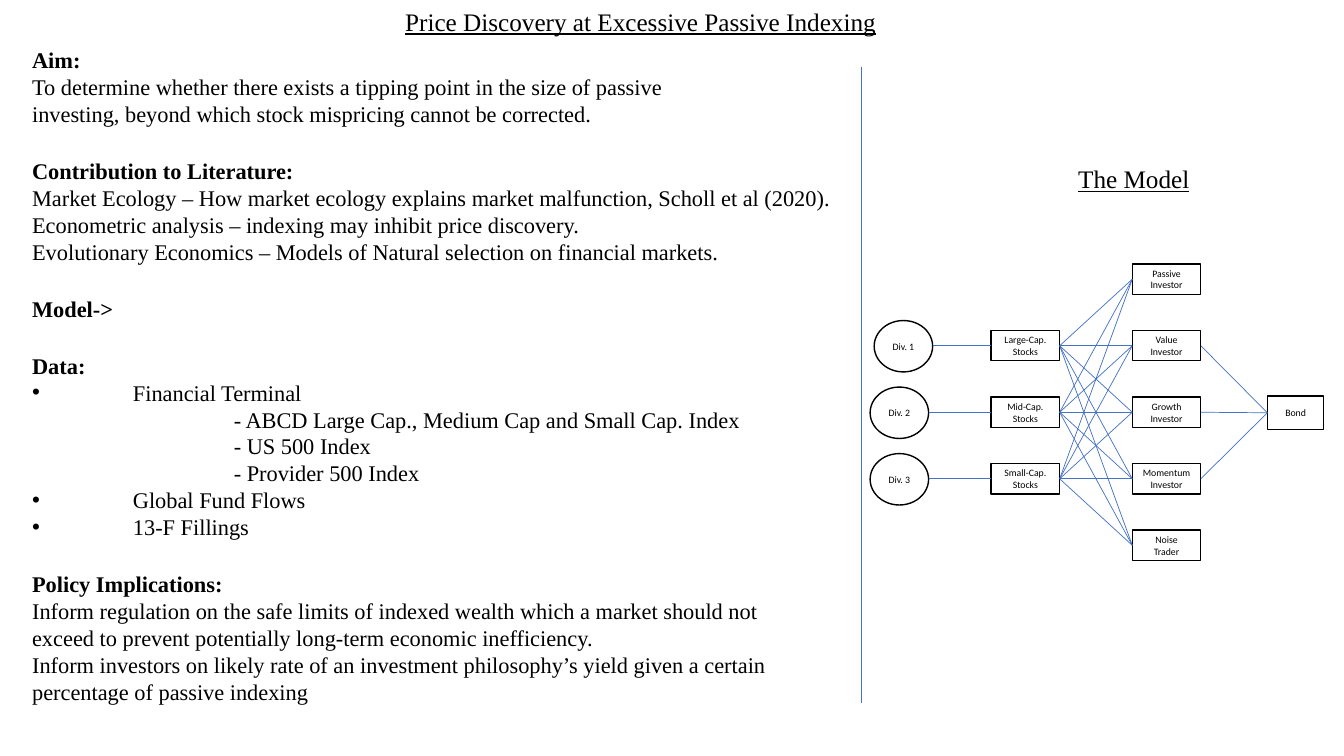
from itertools import product

from lxml import etree
from pptx import Presentation
from pptx.dml.color import RGBColor
from pptx.enum.shapes import MSO_CONNECTOR, MSO_SHAPE
from pptx.enum.text import MSO_ANCHOR, MSO_AUTO_SIZE, PP_ALIGN
from pptx.oxml.ns import qn
from pptx.util import Inches, Pt

BLACK, BLUE = "000000", "4472C4"
SERIF, SANS = "Times New Roman", "Calibri"
RIGHT_SIDE, LEFT_SIDE = 3, 1
ROW_PITCH = 0.66
SECTION_GAP = 21.6

# Each line is a (style, text) pair.
SUMMARY = [
    ("heading", "Aim:"),
    ("body", "To determine whether there exists a tipping point in the size of passive"),
    ("body", "investing, beyond which stock mispricing cannot be corrected."),
    ("heading", "Contribution to Literature:"),
    ("body", "Market Ecology – How market ecology explains market malfunction, Scholl et al (2020)."),
    ("body", "Econometric analysis – indexing may inhibit price discovery."),
    ("body", "Evolutionary Economics – Models of Natural selection on financial markets."),
    ("heading", "Model->"),
    ("heading", "Data:"),
    ("bullet", "Financial Terminal"),
    ("detail", "- ABCD Large Cap., Medium Cap and Small Cap. Index"),
    ("detail", "- US 500 Index"),
    ("detail", "- Provider 500 Index"),
    ("bullet", "Global Fund Flows"),
    ("bullet", "13-F Fillings"),
    ("heading", "Policy Implications:"),
    ("body", "Inform regulation on the safe limits of indexed wealth which a market should not"),
    ("body", "exceed to prevent potentially long-term economic inefficiency."),
    ("body", "Inform investors on likely rate of an investment philosophy’s yield given a certain "
             "percentage of passive indexing"),
]
# Left margin and first-line indent of the indented styles, in inches.
INDENTS = {"bullet": (1, -1), "detail": (2, 0)}

INVESTORS = ["Passive Investor", "Value Investor", "Growth Investor",
             "Momentum Investor", "Noise Trader"]
STOCKS = ["Large-Cap. Stocks", "Mid-Cap. Stocks", "Small-Cap. Stocks"]
DIVIDEND_LEFTS = [0.04, 0, 0]


def color(hex_string):
    return RGBColor.from_string(hex_string)


def write(paragraph, text, **formats):
    """Add a run to the paragraph and set its font from the format values."""
    run = paragraph.add_run()
    run.text = text
    run.font.color.rgb = color(BLACK)
    for name, value in formats.items():
        setattr(run.font, name, value)


def add_text_box(slide, box, wrap=True):
    text_frame = slide.shapes.add_textbox(*map(Inches, box)).text_frame
    text_frame.word_wrap = wrap
    text_frame.auto_size = MSO_AUTO_SIZE.SHAPE_TO_FIT_TEXT
    return text_frame


def add_heading(slide, box, text, alignment, wrap=True):
    paragraph = add_text_box(slide, box, wrap).paragraphs[0]
    paragraph.alignment = alignment
    write(paragraph, text, name=SERIF, size=Pt(18), underline=True)


def add_node(slide, kind, box, text):
    """Add an outlined shape with a small centred label."""
    shape = slide.shapes.add_shape(kind, *map(Inches, box))
    shape.shadow.inherit = False
    shape.fill.background()
    shape.line.color.rgb = color(BLACK)
    shape.line.width = Pt(1)
    text_frame = shape.text_frame
    text_frame.word_wrap = True
    text_frame.vertical_anchor = MSO_ANCHOR.MIDDLE
    paragraph = text_frame.paragraphs[0]
    paragraph.alignment = PP_ALIGN.CENTER
    write(paragraph, text, name=SANS, size=Pt(7))
    return shape


def add_line(slide, start, end):
    """Add a thin blue line between two points given in inches."""
    line = slide.shapes.add_connector(
        MSO_CONNECTOR.STRAIGHT, *map(Inches, (*start, *end)))
    line.line.color.rgb = color(BLUE)
    line.line.width = Pt(0.5)
    etree.SubElement(line._element.spPr, qn("a:effectLst"))
    return line


def link(slide, source, target):
    """Join the right side of one rectangle to the left side of another."""
    line = add_line(slide, (0, 0), (0, 0))
    line.begin_connect(source, RIGHT_SIDE)
    line.end_connect(target, LEFT_SIDE)


def add_summary(slide, box):
    text_frame = add_text_box(slide, box)
    for index, (style, text) in enumerate(SUMMARY):
        paragraph = text_frame.add_paragraph() if index else text_frame.paragraphs[0]
        is_heading = style == "heading"
        if is_heading and index:
            paragraph.space_before = Pt(SECTION_GAP)
        write(paragraph, text, name=SERIF, size=Pt(16), bold=is_heading)
        if style in INDENTS:
            margin, indent = INDENTS[style]
            properties = paragraph._p.get_or_add_pPr()
            properties.set("marL", str(Inches(margin)))
            properties.set("indent", str(Inches(indent)))
            if style == "bullet":
                etree.SubElement(properties, qn("a:buFont")).set("typeface", "Arial")
                etree.SubElement(properties, qn("a:buChar")).set("char", "•")


def add_model(slide, left, top):
    """Draw the network: dividends, stocks, investors, bond."""
    def column(labels, offset, first_row):
        return [add_node(slide, MSO_SHAPE.RECTANGLE,
                         (left + offset, top + (first_row + row) * ROW_PITCH, 0.68, 0.3), label)
                for row, label in enumerate(labels)]

    investors = column(INVESTORS, 2.6, 0)
    stocks = column(STOCKS, 1.2, 1)
    bond = add_node(slide, MSO_SHAPE.RECTANGLE, (left + 3.94, top + 1.31, 0.56, 0.33), "Bond")

    for stock, investor in product(stocks, investors):
        link(slide, stock, investor)
    for investor in investors[1:4]:
        link(slide, investor, bond)

    for row, (stock, shift) in enumerate(zip(stocks, DIVIDEND_LEFTS), start=1):
        x, middle = left + shift, top + row * ROW_PITCH + 0.15
        add_node(slide, MSO_SHAPE.OVAL, (x, middle - 0.25, 0.58, 0.51), f"Div. {row}")
        line = add_line(slide, (x + 0.58, middle), (left + 1.2, middle))
        line.end_connect(stock, LEFT_SIDE)


def main():
    presentation = Presentation()
    presentation.slide_width, presentation.slide_height = Inches(13.33), Inches(7.5)
    slide = presentation.slides.add_slide(presentation.slide_layouts[6])

    add_model(slide, 8.63, 2.62)
    add_heading(slide, (10.44, 1.57, 1.61, 0.4), "The Model", PP_ALIGN.CENTER)
    add_line(slide, (8.54, 0.66), (8.54, 6.97))
    add_summary(slide, (0.22, 0.41, 8.19, 6.97))
    add_heading(slide, (3.92, 0.01, 4.92, 0.4),
                "Price Discovery at Excessive Passive Indexing", PP_ALIGN.LEFT, wrap=False)

    presentation.save("out.pptx")


if __name__ == "__main__":
    main()
